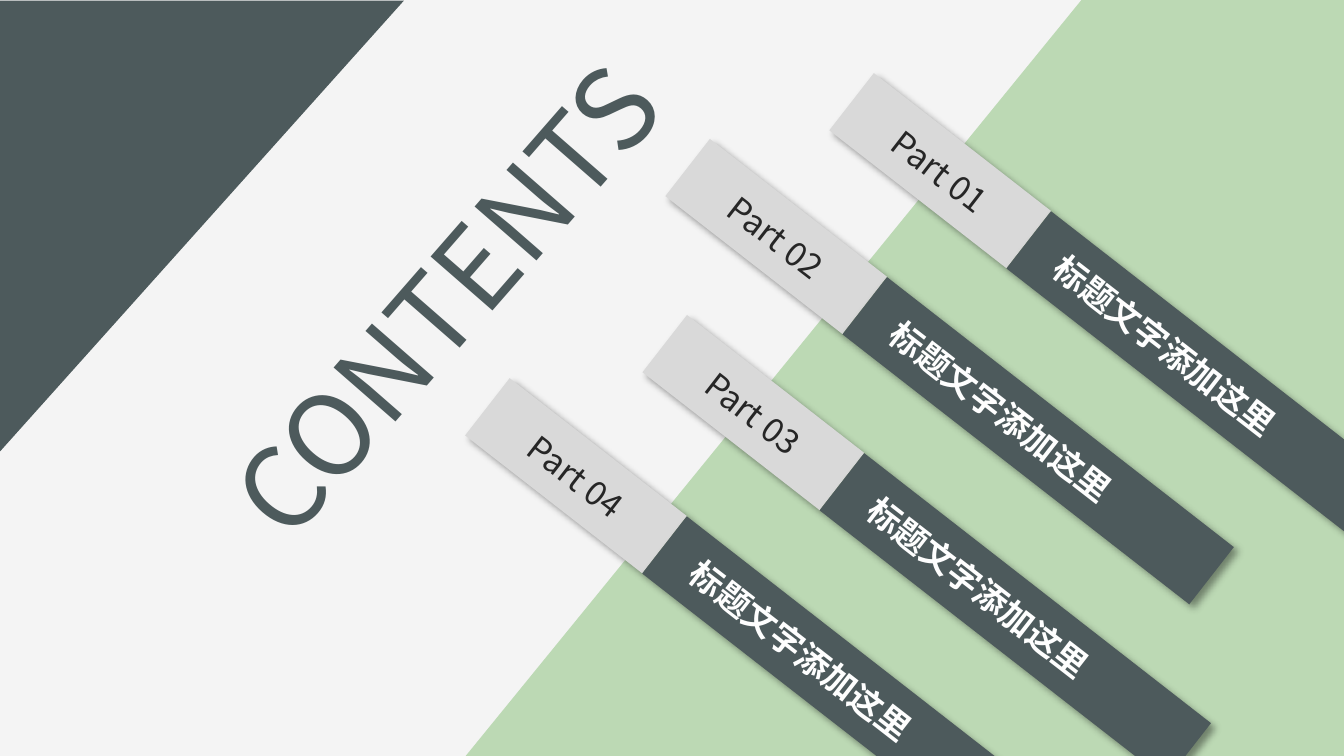
"""Build a contents slide with four slanted part banners."""
import pptx
import pptx.dml.color
import pptx.enum.shapes
import pptx.enum.text
import pptx.oxml
import pptx.oxml.ns
import pptx.util

GREEN = pptx.dml.color.RGBColor(0xBC, 0xD9, 0xB4)
SLATE = pptx.dml.color.RGBColor(0x4D, 0x5A, 0x5C)
SILVER = pptx.dml.color.RGBColor(0xD9, 0xD9, 0xD9)
PAPER = pptx.dml.color.RGBColor(0xF4, 0xF4, 0xF4)
WHITE = pptx.dml.color.RGBColor(0xFE, 0xFE, 0xFE)
INK = pptx.dml.color.RGBColor(0x26, 0x26, 0x26)
FONT = "Noto Sans CJK SC"
SLANT = 37.9
RECTANGLE = pptx.enum.shapes.MSO_SHAPE.RECTANGLE
TRIANGLE = pptx.enum.shapes.MSO_SHAPE.RIGHT_TRIANGLE
LEFT = pptx.enum.text.PP_ALIGN.LEFT
CENTER = pptx.enum.text.PP_ALIGN.CENTER
NAMESPACE = pptx.oxml.ns.nsdecls("a")
SHADOW = (
    f'<a:effectLst {NAMESPACE}><a:outerShdw blurRad="50800" dist="38100" dir="2700000" '
    'algn="tl" rotWithShape="0"><a:srgbClr val="000000"><a:alpha val="40000"/>'
    "</a:srgbClr></a:outerShdw></a:effectLst>"
)

deck = pptx.Presentation()
deck.slide_width = pptx.util.Inches(10)
deck.slide_height = pptx.util.Inches(5.625)
COLUMN = deck.slide_width / 100
ROW = deck.slide_height / 56.25
page = deck.slides.add_slide(deck.slide_layouts[6])
page.background.fill.solid()
page.background.fill.fore_color.rgb = PAPER


def add_block(shapes, kind, left, top, width, height, turn, color):
    block = shapes.add_shape(
        kind, int(left * COLUMN), int(top * ROW), int(width * COLUMN), int(height * ROW))
    block.rotation = turn
    block.shadow.inherit = False
    block.fill.solid()
    block.fill.fore_color.rgb = color
    block.line.fill.background()
    return block


def add_label(shapes, text, left, top, width, height, turn, size, color, align, bold=False):
    box = shapes.add_textbox(
        int(left * COLUMN), int(top * ROW), int(width * COLUMN), int(height * ROW))
    box.rotation = turn
    box.text_frame.word_wrap = True
    box.text_frame.auto_size = pptx.enum.text.MSO_AUTO_SIZE.SHAPE_TO_FIT_TEXT
    para = box.text_frame.paragraphs[0]
    para.text = text
    para.alignment = align
    para.font.size = pptx.util.Pt(size)
    para.font.bold = bold
    para.font.color.rgb = color
    para.font.name = FONT
    defaults = para._p.pPr.find(pptx.oxml.ns.qn("a:defRPr"))
    defaults.append(pptx.oxml.parse_xml(f'<a:ea {NAMESPACE} typeface="{FONT}"/>'))


add_block(page.shapes, TRIANGLE, 27.2, -16.6, 80.3, 65.4, 270, GREEN)
add_label(page.shapes, "CONTENTS", 8, 16.7, 50.2, 11.1, 311.1, 60, SLATE, CENTER)

banners = [(61.6, 10), (49.4, 14.9), (47.7, 28), (34.5, 32.7)]
for number, (left, top) in enumerate(banners, 1):
    banner = page.shapes.add_group_shape().shapes
    tab = add_block(banner, RECTANGLE, left, top, 16.7, 5.4, SLANT, SILVER)
    bar = add_block(banner, RECTANGLE, left + 11.5, top + 15.2, 32.7, 5.4, SLANT, SLATE)
    for block in (tab, bar):
        properties = block._element.spPr
        properties.remove(properties.find(pptx.oxml.ns.qn("a:effectLst")))
        properties.append(pptx.oxml.parse_xml(SHADOW))
    add_label(banner, "标题文字添加这里", left + 13.7, top + 14.9, 25.8, 4,
              SLANT, 18, WHITE, LEFT, True)
    add_label(banner, f"Part {number:02}", left, top + 0.75, 16.7, 4,
              SLANT, 18, INK, CENTER)

add_block(page.shapes, TRIANGLE, -1.8, 1.8, 33.6, 30.1, 90, SLATE)

deck.save("out.pptx")
